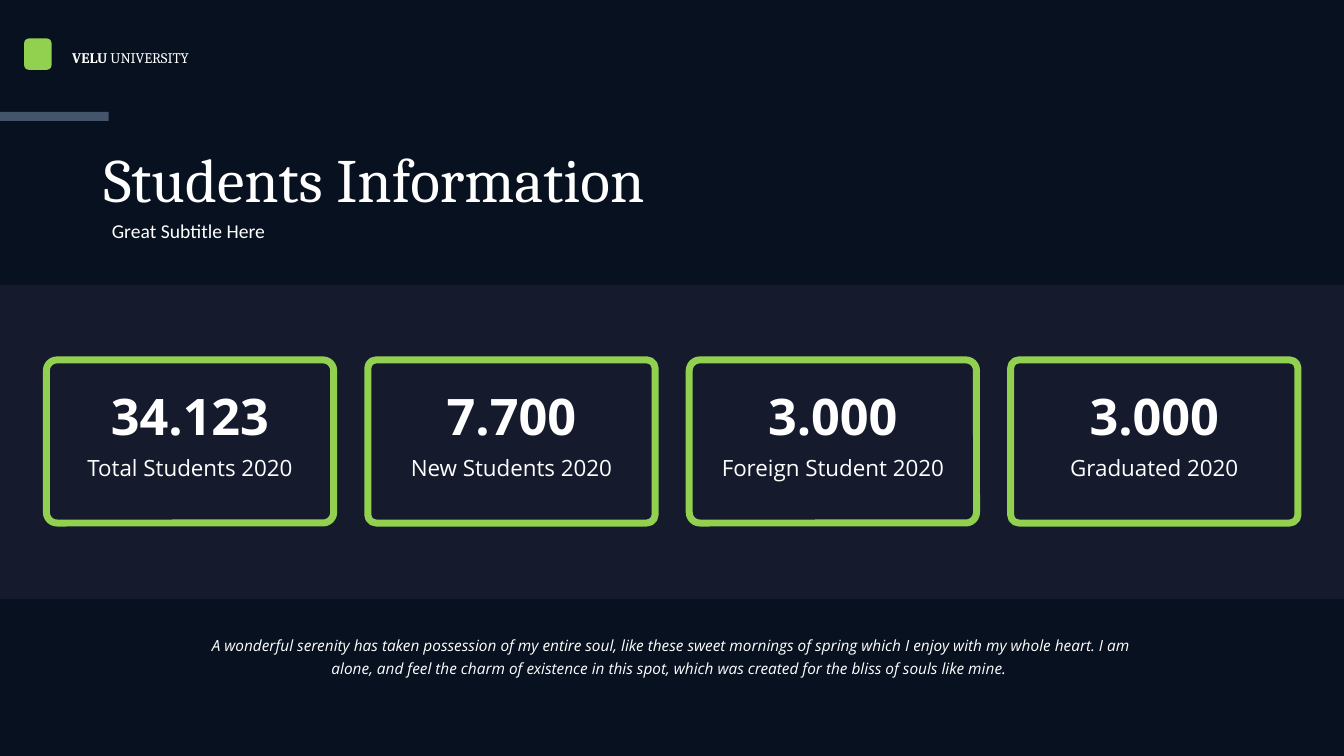
from pptx import Presentation
from pptx.dml.color import RGBColor
from pptx.enum.shapes import MSO_SHAPE as Shape
from pptx.enum.text import MSO_ANCHOR as Anchor, PP_ALIGN as Align
from pptx.oxml.ns import qn
from pptx.util import Cm, Pt
from lxml.etree import SubElement

NAVY = RGBColor(0x07, 0x11, 0x1F)
INDIGO = RGBColor(0x1C, 0x1F, 0x33)
SLATE = RGBColor(0x44, 0x54, 0x6A)
GREEN = RGBColor(0x92, 0xD0, 0x50)
WHITE = RGBColor(0xFF, 0xFF, 0xFF)

deck = Presentation()
deck.slide_width, deck.slide_height = Cm(33.87), Cm(19.05)
slide = deck.slides.add_slide(deck.slide_layouts[6])
back = slide.background.fill
back.solid()
back.fore_color.rgb = NAVY


def add_block(kind, area, fill=None, edge=None):
    block = slide.shapes.add_shape(kind, *map(Cm, area))
    block.shadow.inherit = False
    if fill is None:
        block.fill.background()
    else:
        block.fill.solid()
        block.fill.fore_color.rgb = fill
    if edge is None:
        block.line.fill.background()
    else:
        block.line.color.rgb = edge
        block.line.width = Pt(5)
    return block


def add_text(area, runs, font, frame=None, para=None):
    box = slide.shapes.add_textbox(*map(Cm, area)).text_frame
    line = box.paragraphs[0]
    for item, form in (box, {"word_wrap": True, **(frame or {})}), (line, para or {}):
        for name, value in form.items():
            setattr(item, name, value)
    for words, extra in runs:
        run = line.add_run()
        run.text = words
        run.font.color.rgb = WHITE
        for name, value in {**font, **extra}.items():
            setattr(run.font, name, value)


band = add_block(Shape.RECTANGLE, (0, 7.17, 33.87, 7.92), INDIGO)
tint = band.fill._xPr.find(qn("a:solidFill"))[0]
SubElement(tint, qn("a:alpha")).set("val", "70000")
add_block(Shape.RECTANGLE, (0, 2.82, 2.74, 0.23), SLATE)
add_block(Shape.ROUNDED_RECTANGLE, (0.61, 0.97, 0.69, 0.79), GREEN)

add_text((1.57, 1.11, 3.84, 0.71), [("VELU ", {"bold": True}), ("UNIVERSITY", {})],
         {"name": "Cambria", "size": Pt(10.5)})
add_text((2.36, 3.05, 18.54, 2.87), [("Students Information", {})],
         {"name": "Cambria", "size": Pt(44)}, {"vertical_anchor": Anchor.MIDDLE})
add_text((2.57, 5.38, 9.19, 0.86), [("Great Subtitle Here", {})],
         {"name": "Calibri", "size": Pt(14)})

STATS = [
    ("34.123", "Total Students 2020"),
    ("7.700", "New Students 2020"),
    ("3.000", "Foreign Student 2020"),
    ("3.000", "Graduated 2020"),
]
LEFT, STEP, INSET = 1.17, 8.1, 0.27
BARE = dict.fromkeys(("margin_left", "margin_top", "margin_right", "margin_bottom"), 0)
TIGHT = {"alignment": Align.CENTER, "line_spacing": 0.9, "space_before": Pt(16)}
COUNT = {"name": "Open Sans", "size": Pt(36), "bold": True}
LABEL = {"name": "Open Sans", "size": Pt(16)}

for i, (count, label) in enumerate(STATS):
    x = LEFT + i * STEP
    card = add_block(Shape.ROUNDED_RECTANGLE, (x, 9.07, 7.24, 4.11), edge=GREEN)
    card.adjustments[0] = (0.065, 0.05)[i % 2]
    for words, top, high, font in (count, 9.88, 1.65, COUNT), (label, 11.53, 0.86, LABEL):
        add_text((x + INSET, top, 6.7, high), [(words, {})], font, BARE, TIGHT)

QUOTE = ("A wonderful serenity has taken possession of my entire soul, "
         "like these sweet mornings of spring which I enjoy with my whole heart. "
         "I am alone, and feel the charm of existence in this spot, "
         "which was created for the bliss of souls like mine. ")
add_text((4.9, 15.82, 24.05, 1.35), [(QUOTE, {})],
         {"name": "Open Sans", "size": Pt(11), "italic": True},
         para={"alignment": Align.CENTER, "line_spacing": 1.2})

deck.save("out.pptx")
